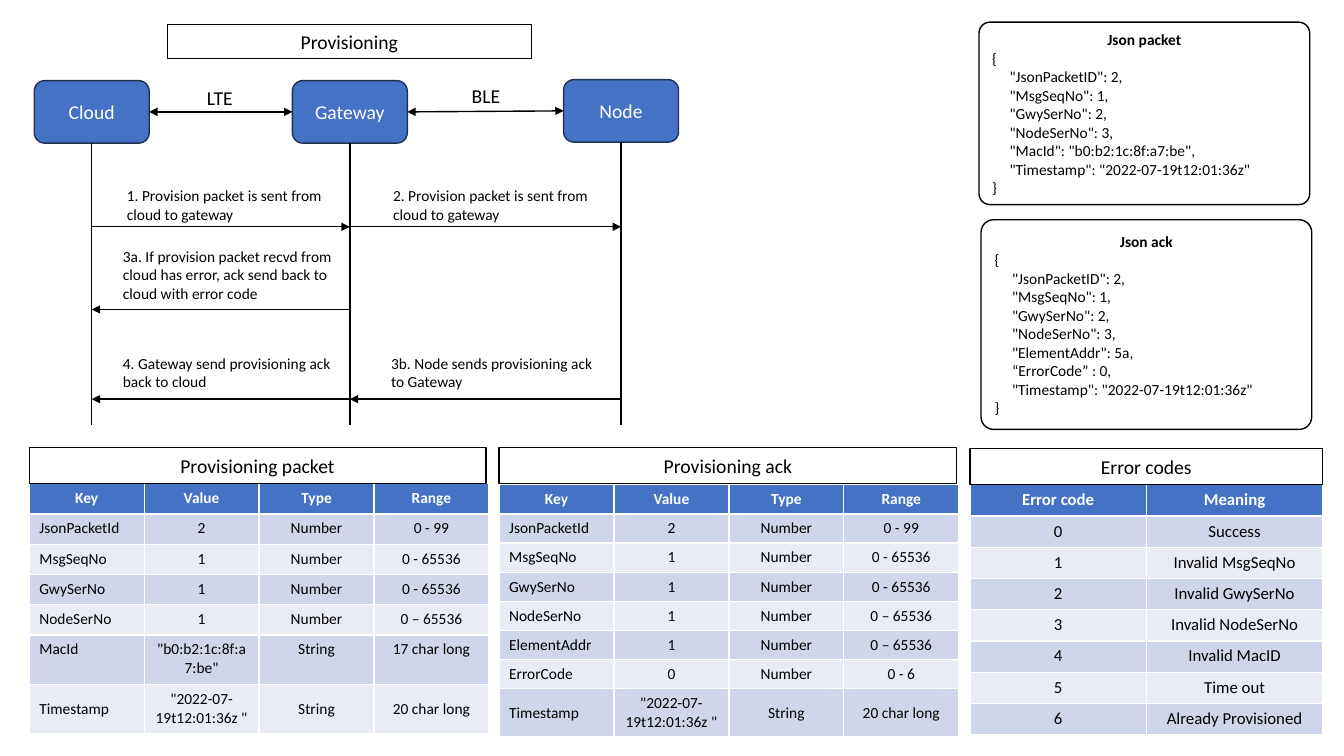
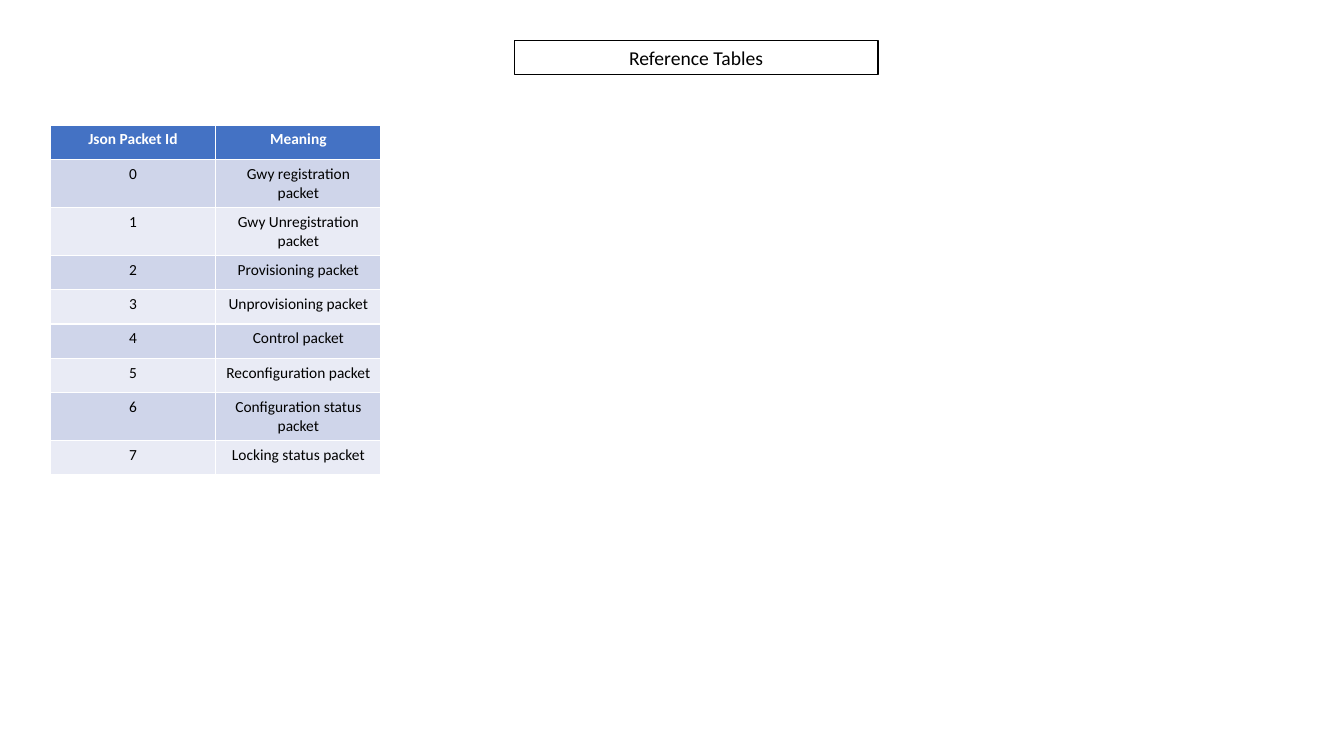
from lxml import etree
from pptx import Presentation
from pptx import util as u
from pptx.dml.color import RGBColor
from pptx.enum import shapes, text
from pptx.oxml import ns

# Shared look
FONT = "Calibri"
BLUE, NAVY, WHITE, BLACK = "4472C4", "1E3256", "FFFFFF", "000000"
BANDS = ("CFD5EA", "E9EBF5")
LEFT, CENTER = text.PP_ALIGN.LEFT, text.PP_ALIGN.CENTER
MIDDLE, TOP = text.MSO_ANCHOR.MIDDLE, text.MSO_ANCHOR.TOP


def paint(part, fill, line=None):
    part.fill.solid()
    part.fill.fore_color.rgb = RGBColor.from_string(fill)
    if line:
        part.line.color.rgb = RGBColor.from_string(line)
        part.line.width = u.Pt(1)
        part.shadow.inherit = False


def write(frame, lines, size, color=BLACK, align=CENTER, bold=False, anchor=MIDDLE):
    frame.word_wrap = True
    frame.vertical_anchor = anchor
    for number, line in enumerate(lines):
        para = frame.add_paragraph() if number else frame.paragraphs[0]
        para.text = line
        para.alignment = align
        para.font.name = FONT
        para.font.size = u.Pt(size)
        para.font.bold = bold
        para.font.color.rgb = RGBColor.from_string(color)


deck = Presentation()
deck.slide_width, deck.slide_height = u.Inches(13.33), u.Inches(7.5)

# Slides with framed titles
pages = []
for heading, left, top in (("Provisioning", 1.66, 0.24), ("Reference Tables", 5.1, 0.4)):
    page = deck.slides.add_slide(deck.slide_layouts[5])
    title = page.shapes.title
    title.left, title.top = u.Inches(left), u.Inches(top)
    title.width, title.height = u.Inches(3.61), u.Inches(0.34)
    paint(title, WHITE, BLACK)
    write(title.text_frame, [heading], 14)
    title.text_frame.auto_size = text.MSO_AUTO_SIZE.NONE
    pages.append(page)
flow_page, reference_page = pages

# Tables
field_header = ["Key", "Value", "Type", "Range"]
common_fields = [
    field_header,
    ["JsonPacketId", "2", "Number", "0 - 99"],
    ["MsgSeqNo", "1", "Number", "0 - 65536"],
    ["GwySerNo", "1", "Number", "0 - 65536"],
    ["NodeSerNo", "1", "Number", "0 – 65536"],
]
timestamp = ["Timestamp", '"2022-07-19t12:01:36z "', "String", "20 char long"]
packet_fields = common_fields + [
    ["MacId", '"b0:b2:1c:8f:a7:be"', "String", "17 char long"],
    timestamp,
]
ack_fields = common_fields + [
    ["ElementAddr", "1", "Number", "0 – 65536"],
    ["ErrorCode", "0", "Number", "0 - 6"],
    timestamp,
]
error_meanings = ["Success", "Invalid MsgSeqNo", "Invalid GwySerNo", "Invalid NodeSerNo",
                  "Invalid MacID", "Time out", "Already Provisioned"]
packet_meanings = ["Gwy registration packet", "Gwy Unregistration packet",
                   "Provisioning packet", "Unprovisioning packet", "Control packet",
                   "Reconfiguration packet", "Configuration status packet",
                   "Locking status packet"]
error_codes = [["Error code", "Meaning"]] + [[str(i), m] for i, m in enumerate(error_meanings)]
packet_ids = [["Json Packet Id", "Meaning"]] + [[str(i), m] for i, m in enumerate(packet_meanings)]

# page, rows, left, top, column width, row heights, text size
tables = (
    (flow_page, packet_fields, 0.29, 4.8, 1.14, [0.3] * 5 + [0.49] * 2, 11),
    (flow_page, ack_fields, 4.95, 4.81, 1.14, [0.27] * 7 + [0.45], 11),
    (flow_page, error_codes, 9.62, 4.81, 1.75, [0.31] * 8, 12),
    (reference_page, packet_ids, 0.5, 1.24, 1.64, [0.34] * 9, 11),
)
for page, rows, left, top, column_width, heights, size in tables:
    columns = len(rows[0])
    table = page.shapes.add_table(
        len(rows), columns, u.Inches(left), u.Inches(top),
        u.Inches(column_width * columns), u.Inches(sum(heights))).table
    for column in table.columns:
        column.width = u.Inches(column_width)
    for r, values in enumerate(rows):
        table.rows[r].height = u.Inches(heights[r])
        for c, value in enumerate(values):
            cell = table.cell(r, c)
            paint(cell, BANDS[(r - 1) % 2] if r else BLUE)
            is_key = r > 0 and c == 0 and rows[0] == field_header
            write(cell.text_frame, [value], size, BLACK if r else WHITE,
                  LEFT if is_key else CENTER, bold=r == 0)
            cell.vertical_anchor = MIDDLE if values is timestamp else TOP

# Table headings
for heading, left, top, width in (("Provisioning packet", 0.29, 4.44, 4.53),
                                  ("Provisioning ack", 4.95, 4.44, 4.54),
                                  ("Error codes", 9.62, 4.45, 3.5)):
    box = flow_page.shapes.add_shape(
        shapes.MSO_SHAPE.RECTANGLE, u.Inches(left), u.Inches(top),
        u.Inches(width), u.Inches(0.36))
    paint(box, WHITE, BLACK)
    write(box.text_frame, [heading], 14)

# Devices
devices = {}
for name, left, top in (("Cloud", 0.34, 0.8), ("Gateway", 2.9, 0.8), ("Node", 5.59, 0.79)):
    box = flow_page.shapes.add_shape(
        shapes.MSO_SHAPE.ROUNDED_RECTANGLE, u.Inches(left), u.Inches(top),
        u.Inches(1.14), u.Inches(0.62))
    paint(box, BLUE, NAVY)
    write(box.text_frame, [name], 14, WHITE)
    devices[name] = box
cloud, gateway, node = devices.values()
cloud_x, gateway_x, node_x = 0.91, 3.47, 6.16

# Lifelines, radio links and messages: start, end, joined devices, arrowheads
lines = [((x, 1.42), (x, 4.22), box, None, ())
         for x, box in zip((cloud_x, gateway_x, node_x), devices.values())]
lines += [((1.48, 1.11), (2.9, 1.11), cloud, gateway, ("headEnd", "tailEnd")),
          ((4.04, 1.11), (5.59, 1.1), gateway, node, ("headEnd", "tailEnd"))]
lines += [((start, y), (end, y), None, None, ("tailEnd",))
          for start, end, y in ((cloud_x, gateway_x, 2.25), (gateway_x, node_x, 2.25),
                                (gateway_x, cloud_x, 3.07), (node_x, gateway_x, 3.96),
                                (gateway_x, cloud_x, 3.96))]
for start, end, source, target, arrowheads in lines:
    line = flow_page.shapes.add_connector(
        shapes.MSO_CONNECTOR.STRAIGHT, *(u.Inches(n) for n in start + end))
    if source:
        line.begin_connect(source, 3 if target else 2)
    if target:
        line.end_connect(target, 1)
    line.line.color.rgb = RGBColor.from_string(BLACK)
    line.line.width = u.Pt(1)
    for arrowhead in arrowheads:
        etree.SubElement(line.line._get_or_add_ln(), ns.qn("a:" + arrowhead), type="triangle")
    etree.SubElement(line._element.spPr, ns.qn("a:effectLst"))

# Link and message labels
for label, left, top, width, height, size, align in (
        ("LTE", 1.76, 0.8, 0.84, 0.34, 14, CENTER),
        ("BLE", 4.4, 0.78, 0.84, 0.34, 14, CENTER),
        ("1. Provision packet is sent from cloud to gateway", 1.16, 1.8, 2.29, 0.47, 11, LEFT),
        ("2. Provision packet is sent from cloud to gateway", 3.8, 1.8, 2.29, 0.47, 11, LEFT),
        ("3a. If provision packet recvd from cloud has error, ack send back to cloud "
         "with error code", 1.12, 2.4, 2.29, 0.66, 11, LEFT),
        ("3b. Node sends provisioning ack to Gateway", 3.78, 3.46, 2.29, 0.47, 11, LEFT),
        ("4. Gateway send provisioning ack back to cloud", 1.12, 3.46, 2.29, 0.47, 11, LEFT)):
    box = flow_page.shapes.add_textbox(
        u.Inches(left), u.Inches(top), u.Inches(width), u.Inches(height))
    write(box.text_frame, [label], size, align=align, anchor=TOP)

# JSON listings
json_start = ["{", '     "JsonPacketID": 2,', '     "MsgSeqNo": 1,',
              '     "GwySerNo": 2,', '     "NodeSerNo": 3,']
json_end = ['     "Timestamp": "2022-07-19t12:01:36z"', "}"]
for heading, fields, left, top, height in (
        ("Json packet", ['     "MacId": "b0:b2:1c:8f:a7:be",'], 9.71, 0.22, 1.81),
        ("Json ack", ['     "ElementAddr": 5a,', "     “ErrorCode” : 0,"], 9.73, 2.18, 2.08)):
    box = flow_page.shapes.add_shape(
        shapes.MSO_SHAPE.ROUNDED_RECTANGLE, u.Inches(left), u.Inches(top),
        u.Inches(3.28), u.Inches(height))
    box.adjustments[0] = 0.06
    paint(box, WHITE, BLACK)
    write(box.text_frame, [heading] + json_start + fields + json_end, 11, align=LEFT)
    caption = box.text_frame.paragraphs[0]
    caption.alignment = CENTER
    caption.font.bold = True

deck.save("out.pptx")
